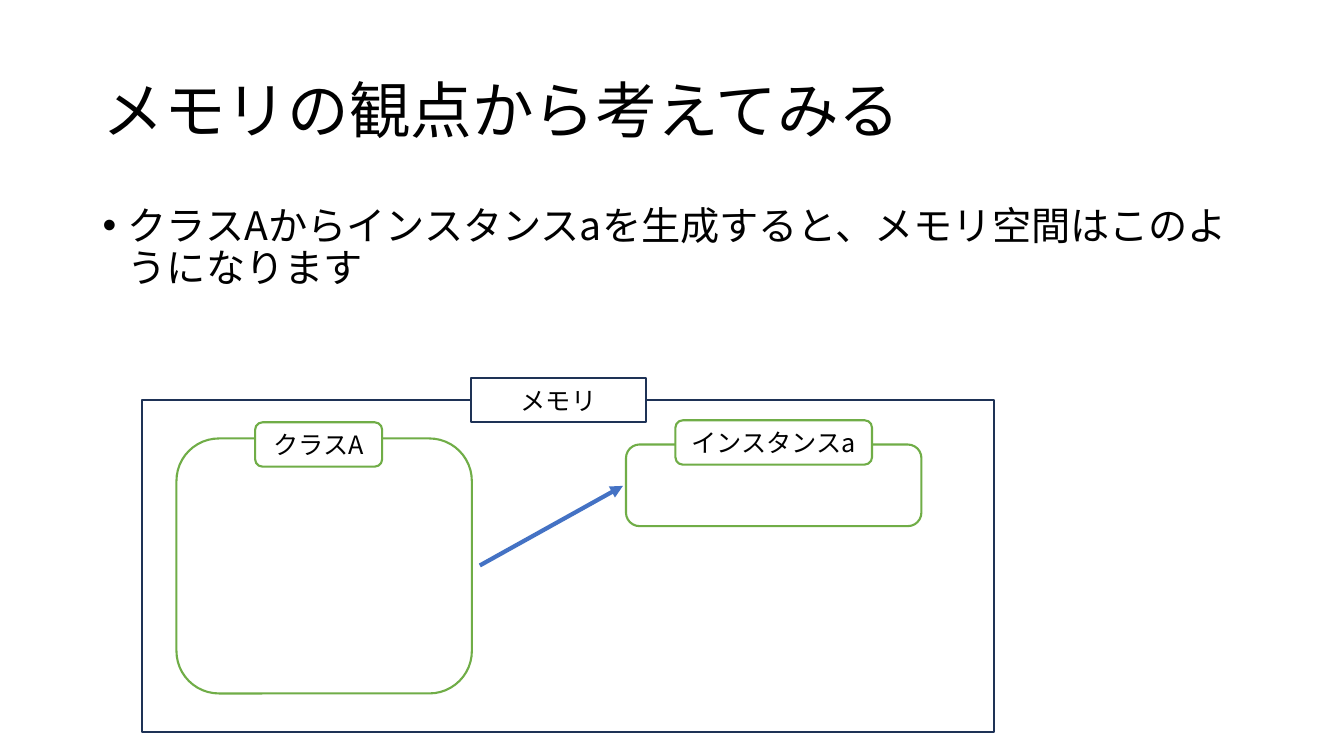
from dataclasses import dataclass

from lxml import etree
from pptx import Presentation
from pptx import util as u
from pptx.dml.color import RGBColor
from pptx.enum import shapes, text
from pptx.oxml.ns import qn


@dataclass(frozen=True)
class Theme:
    font: str = "Noto Sans CJK JP"
    ink: str = "000000"
    paper: str = "FFFFFF"
    memory: str = "1E3256"
    object: str = "70AD47"
    arrow: str = "4472C4"
    title_size: int = 44
    body_size: int = 28
    label_size: int = 18
    outline: float = 1.5
    arrow_width: float = 3


THEME = Theme()
RECTANGLE = shapes.MSO_SHAPE.RECTANGLE
ROUNDED = shapes.MSO_SHAPE.ROUNDED_RECTANGLE

# Content: every length is a percentage of the slide's width or height
TITLE = "メモリの観点から考えてみる"
BODY = "クラスAからインスタンスaを生成すると、メモリ空間はこのようになります"
TITLE_BOX = (6.9, 5.33, 86.25, 19.33)
BODY_BOX = (6.9, 26.67, 86.25, 63.47)
LABEL_HEIGHT = 5.87
# label, outline shape, colour, frame box, label width, label shift from the top edge's middle
FRAMES = [
    ("メモリ", RECTANGLE, THEME.memory, (10.57, 52.93, 63.38, 43.87), 13.05, (-0.71, 0)),
    ("クラスA", ROUNDED, THEME.object, (13.13, 58, 21.98, 33.73), 9.45, (-0.41, 0.8)),
    ("インスタンスa", ROUNDED, THEME.object, (46.58, 58.8, 21.98, 10.8), 14.63, (0, -0.27)),
]
ARROW = (35.7, 74.8, 46.35, 64.27)

# Slide
presentation = Presentation()
presentation.slide_width = u.Inches(13.33)
presentation.slide_height = u.Inches(7.5)
slide = presentation.slides.add_slide(presentation.slide_layouts[6])


def place(*percentages):
    """Turn alternating horizontal and vertical percentages into lengths."""
    sides = (presentation.slide_width, presentation.slide_height)
    return [int(sides[i % 2] * share / 100) for i, share in enumerate(percentages)]


def write(shape, words, size, anchor, align):
    frame = shape.text_frame
    frame.word_wrap = True
    frame.vertical_anchor = anchor
    paragraph = frame.paragraphs[0]
    paragraph.text = words
    paragraph.alignment = align
    font = paragraph.font
    font.name, font.size = THEME.font, u.Pt(size)
    font.color.rgb = RGBColor.from_string(THEME.ink)
    # East Asian characters need their own typeface entry
    properties = paragraph.runs[0].font
    properties.name = THEME.font
    latin = paragraph.runs[0]._r.rPr.find(qn("a:latin"))
    east_asian = etree.Element(qn("a:ea"), typeface=THEME.font)
    latin.addnext(east_asian)
    return paragraph


def add_text(words, box, size, anchor):
    shape = slide.shapes.add_textbox(*place(*box))
    paragraph = write(shape, words, size, anchor, text.PP_ALIGN.LEFT)
    paragraph.line_spacing = 0.9
    return paragraph


def add_outline(kind, box, colour):
    shape = slide.shapes.add_shape(kind, *place(*box))
    shape.shadow.inherit = False
    shape.fill.solid()
    shape.fill.fore_color.rgb = RGBColor.from_string(THEME.paper)
    shape.line.color.rgb = RGBColor.from_string(colour)
    shape.line.width = u.Pt(THEME.outline)
    return shape


# Title and bulleted sentence
add_text(TITLE, TITLE_BOX, THEME.title_size, text.MSO_ANCHOR.MIDDLE)
sentence = add_text(BODY, BODY_BOX, THEME.body_size, text.MSO_ANCHOR.TOP)
sentence.space_before = u.Pt(10)
bullet_properties = sentence._p.get_or_add_pPr()
bullet_properties.set("marL", str(u.Inches(0.25)))
bullet_properties.set("indent", str(-u.Inches(0.25)))
bullet_font = etree.Element(qn("a:buFont"), typeface="Arial")
bullet = etree.Element(qn("a:buChar"), char="•")
default_run = bullet_properties.find(qn("a:defRPr"))
default_run.addprevious(bullet_font)
default_run.addprevious(bullet)

# Frames, each with a label straddling its top edge
for label, kind, colour, box, label_width, (shift_x, shift_y) in FRAMES:
    add_outline(kind, box, colour)
    left, top, width, _ = box
    label_box = (
        left + (width - label_width) / 2 + shift_x,
        top - LABEL_HEIGHT / 2 + shift_y,
        label_width,
        LABEL_HEIGHT,
    )
    tab = add_outline(kind, label_box, colour)
    write(tab, label, THEME.label_size, text.MSO_ANCHOR.MIDDLE, text.PP_ALIGN.CENTER)

# Arrow from the class to its instance
arrow = slide.shapes.add_connector(shapes.MSO_CONNECTOR.STRAIGHT, *place(*ARROW))
arrow.line.color.rgb = RGBColor.from_string(THEME.arrow)
arrow.line.width = u.Pt(THEME.arrow_width)
etree.SubElement(arrow.line._get_or_add_ln(), qn("a:tailEnd"), type="triangle")
etree.SubElement(arrow._element.spPr, qn("a:effectLst"))

presentation.save("out.pptx")
